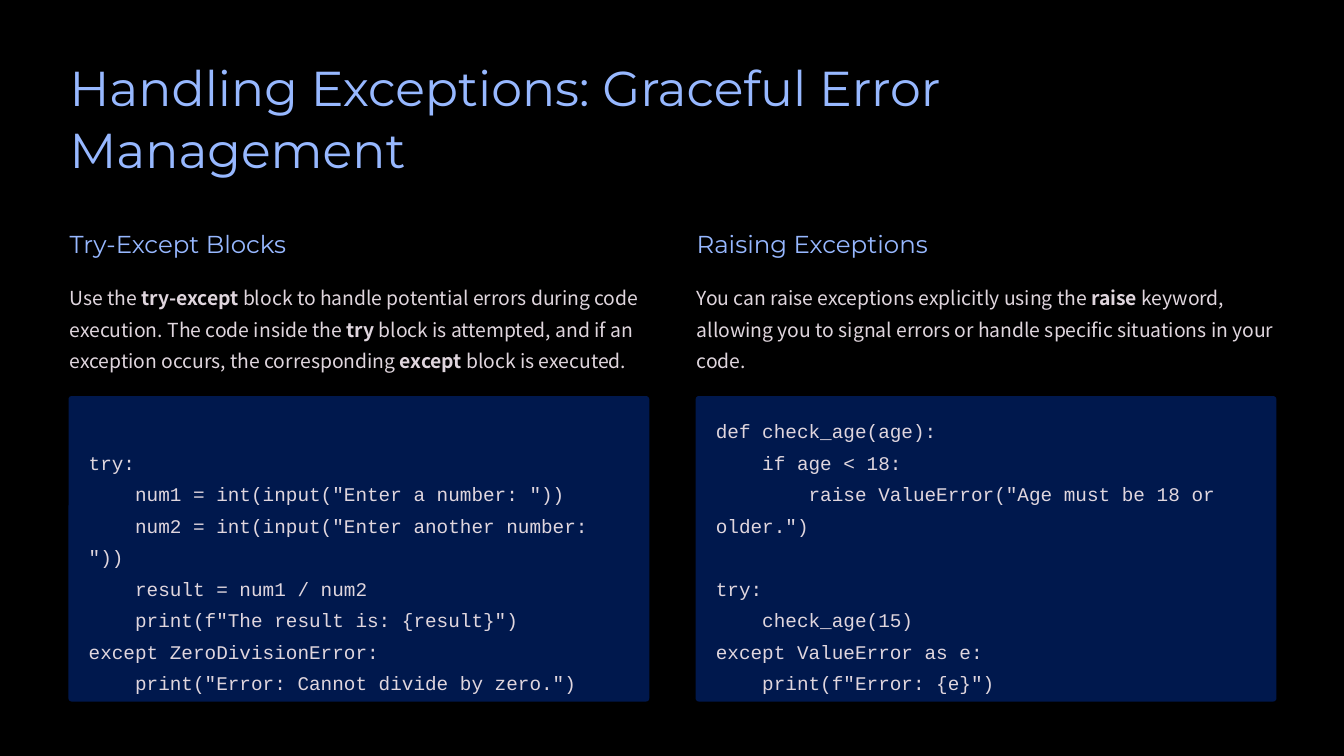
"""Build the slide on handling and raising exceptions."""
from lxml.etree import SubElement
from pptx import Presentation
from pptx.dml.color import RGBColor
from pptx.enum.shapes import MSO_SHAPE
from pptx.enum.text import MSO_ANCHOR, MSO_AUTO_SIZE, PP_ALIGN
from pptx.oxml.ns import qn
from pptx.util import Inches, Pt

COLORS = {"back": "000000", "heading": "97B8FF", "text": "E0D6DE", "panel": "00184D"}
FORMATS = {
    "title": {"name": "Montserrat", "size": Pt(35), "color": "heading", "line": Pt(44.2)},
    "heading": {"name": "Montserrat", "size": Pt(17.5), "color": "heading", "line": Pt(22.1)},
    "body": {"name": "Noto Sans CJK TC", "size": Pt(13.8), "color": "text", "line": Pt(22.5)},
    "code": {"name": "Courier New", "size": Pt(13.8), "color": "text", "line": Pt(22.5)},
}
COLUMNS = [
    {
        "left": 0.69,
        "heading": "Try-Except Blocks",
        "body": "Use the **try-except** block to handle potential errors during code execution. "
                "The code inside the **try** block is attempted, and if an exception occurs, "
                "the corresponding **except** block is executed.",
        "code_top": 4.39,
        "code": '''try:
    num1 = int(input("Enter a number: "))
    num2 = int(input("Enter another number: "))
    result = num1 / num2
    print(f"The result is: {result}")
except ZeroDivisionError:
    print("Error: Cannot divide by zero.")''',
    },
    {
        "left": 6.91,
        "heading": "Raising Exceptions",
        "body": "You can raise exceptions explicitly using the **raise** keyword, allowing you "
                "to signal errors or handle specific situations in your code.",
        "code_top": 4.08,
        "code": '''def check_age(age):
    if age < 18:
        raise ValueError("Age must be 18 or older.")

try:
    check_age(15)
except ValueError as e:
    print(f"Error: {e}")''',
    },
]


def place(sp, left, top, width, height):
    """Set the position and size of a shape in inches."""
    box = {"left": left, "top": top, "width": width, "height": height}
    for name, value in box.items():
        setattr(sp, name, Inches(value))


def write(sp, text, style):
    """Fill a shape with text, one paragraph a line, bold between ** marks."""
    fmt = FORMATS[style]
    tf = sp.text_frame
    frame = {"word_wrap": True, "auto_size": MSO_AUTO_SIZE.NONE, "vertical_anchor": MSO_ANCHOR.TOP,
             "margin_left": 0, "margin_top": 0, "margin_right": 0, "margin_bottom": 0}
    for name, value in frame.items():
        setattr(tf, name, value)
    for i, line in enumerate(text.split("\n")):
        p = tf.add_paragraph() if i else tf.paragraphs[0]
        pPr = p._p.get_or_add_pPr()
        pPr.set("marL", "0")
        pPr.set("indent", "0")
        SubElement(pPr, qn("a:buNone"))
        layout = {"alignment": PP_ALIGN.LEFT, "line_spacing": fmt["line"],
                  "space_before": Pt(0), "space_after": Pt(0)}
        for name, value in layout.items():
            setattr(p, name, value)
        for j, part in enumerate(line.split("**")):
            if part:
                r = p.add_run()
                r.text = part
                font = {"name": fmt["name"], "size": fmt["size"], "bold": j % 2 == 1}
                for name, value in font.items():
                    setattr(r.font, name, value)
                r.font.color.rgb = RGBColor.from_string(COLORS[fmt["color"]])


prs = Presentation()
prs.slide_width, prs.slide_height = Inches(13.33), Inches(7.5)
s = prs.slides.add_slide(prs.slide_layouts.get_by_name("Comparison"))
s.background.fill.solid()
s.background.fill.fore_color.rgb = RGBColor.from_string(COLORS["back"])

title = s.shapes.title
place(title, 0.69, 0.54, 11.96, 1.23)
write(title, "Handling Exceptions: Graceful Error Management", "title")

for i, col in enumerate(COLUMNS):
    left = col["left"]
    heading, body = s.placeholders[2 * i + 1], s.placeholders[2 * i + 2]
    place(heading, left, 2.26, 5.74, 0.31)
    write(heading, col["heading"], "heading")
    place(body, left, 2.76, 5.74, 0.94)
    write(body, col["body"], "body")

    panel = s.shapes.add_shape(MSO_SHAPE.ROUNDED_RECTANGLE, Inches(left - 0.01), Inches(3.93),
                               Inches(5.76), Inches(3.03))
    panel.adjustments[0] = 0.01
    panel.shadow.inherit = False
    panel.fill.solid()
    panel.fill.fore_color.rgb = RGBColor.from_string(COLORS["panel"])
    panel.line.fill.background()

    top = col["code_top"]
    code = s.shapes.add_textbox(Inches(left + 0.19), Inches(top), Inches(5.37), Inches(6.59 - top))
    write(code, col["code"], "code")

prs.save("out.pptx")
